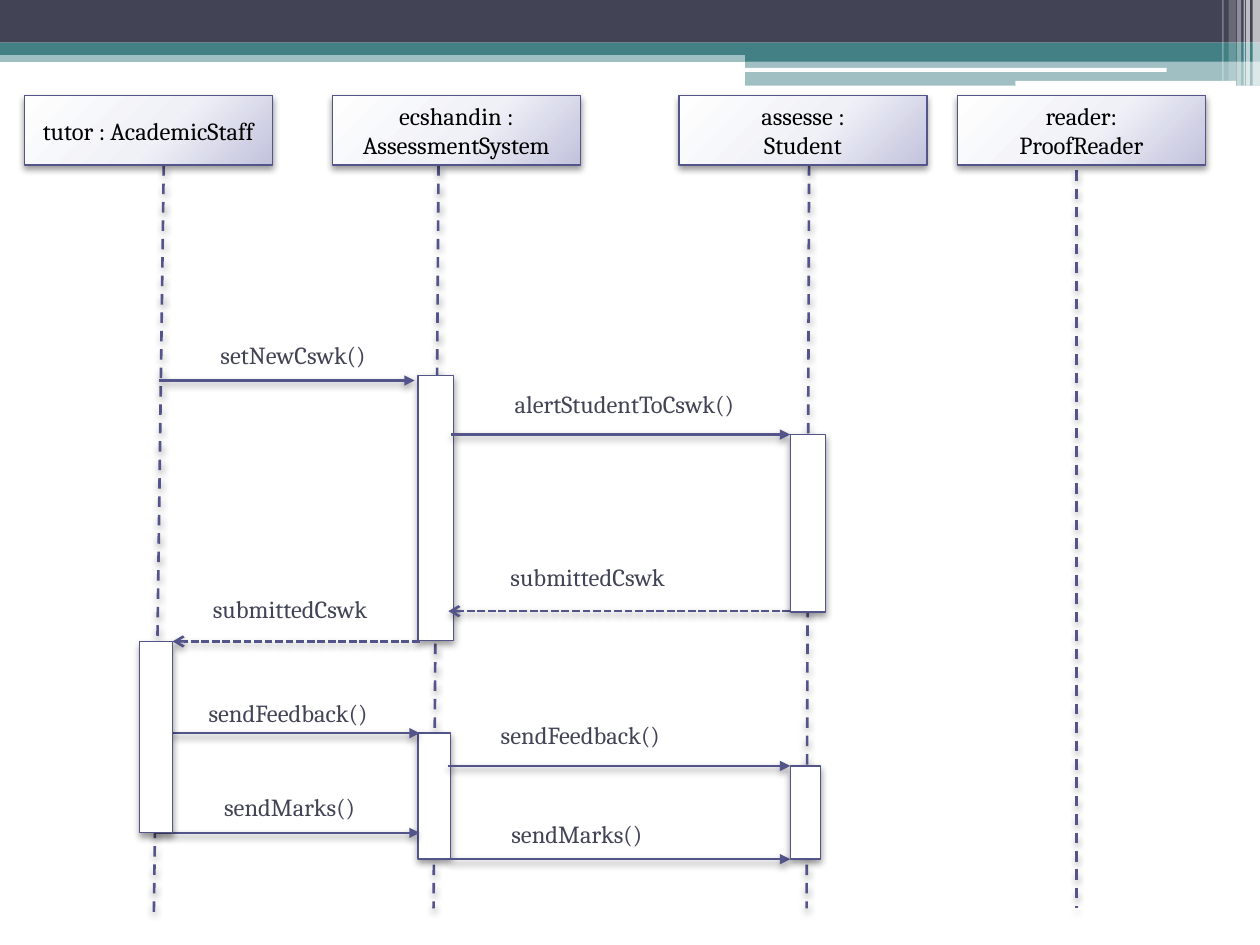
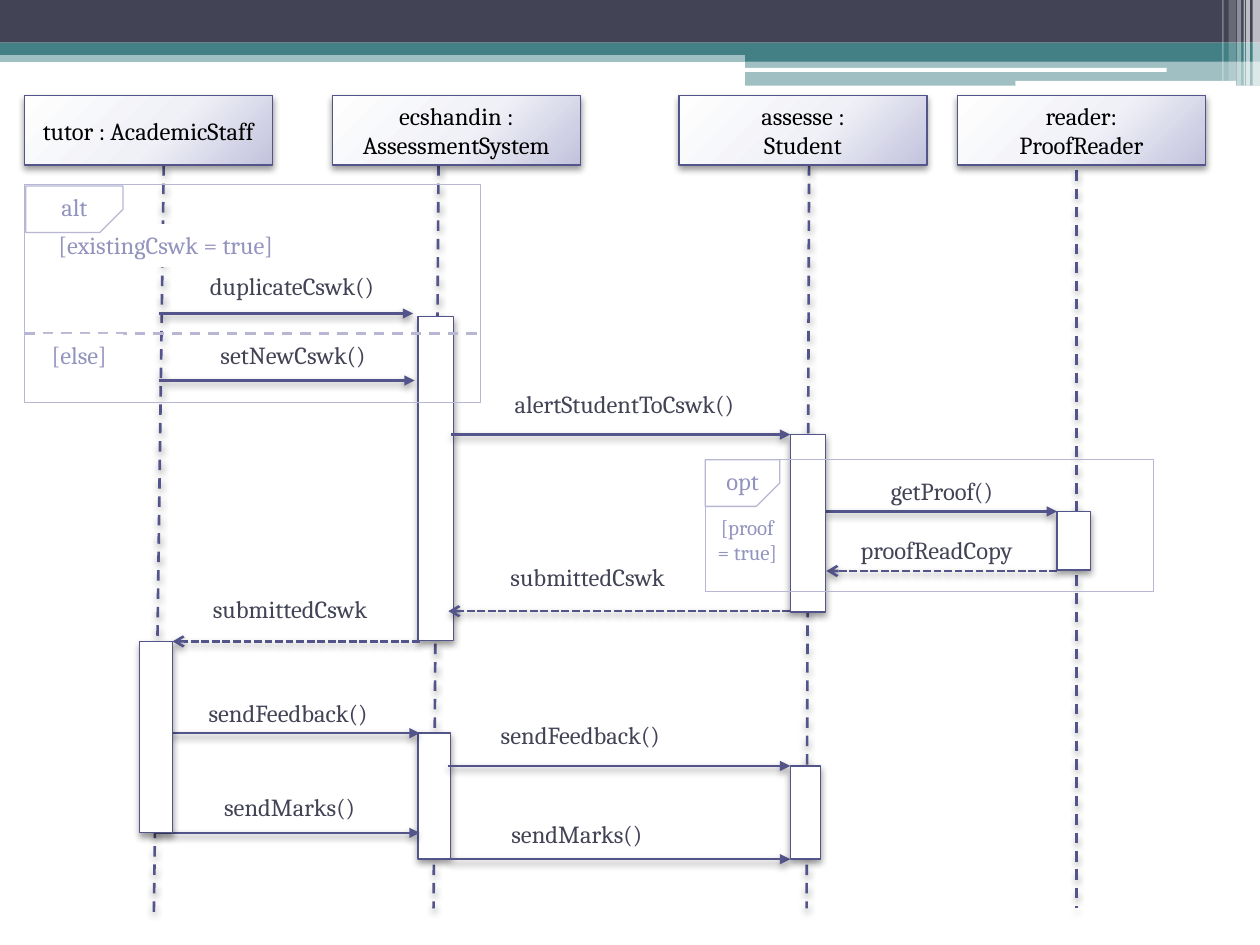
from dataclasses import dataclass

from lxml.etree import SubElement
from pptx import Presentation
from pptx.dml.color import RGBColor
from pptx.enum.dml import MSO_LINE
from pptx.enum.shapes import MSO_CONNECTOR, MSO_SHAPE
from pptx.enum.text import MSO_ANCHOR, PP_ALIGN
from pptx.oxml.ns import qn
from pptx.util import Cm, Pt

RECT, ROUND = MSO_SHAPE.RECTANGLE, MSO_SHAPE.ROUNDED_RECTANGLE
SNIP = MSO_SHAPE.SNIP_1_RECTANGLE
STRAIGHT = MSO_CONNECTOR.STRAIGHT
DASH, SHORT = MSO_LINE.DASH, MSO_LINE.SQUARE_DOT
TOP, MIDDLE = MSO_ANCHOR.TOP, MSO_ANCHOR.MIDDLE
CENTER = PP_ALIGN.CENTER


@dataclass(frozen=True)
class Theme:
    navy: str = "424456"
    teal: str = "438086"
    white: str = "FFFFFF"
    black: str = "000000"
    ink: str = "53548A"
    pale: str = "B7B7D4"
    guard: str = "9394BE"
    glow: tuple = ((0, "FEFEFE"), (55, "F0F1F7"), (100, "C2C2DD"))
    font: str = "Cambria"
    body: int = 14
    small: int = 12
    thin: float = 0.75
    thick: float = 1.5


THEME = Theme()

# Bands: left, top, width, height, colour, opacity, shape
BANDS = [
    (0, 1.02, 25.4, 0.23, THEME.teal, 50, RECT),
    (0, 0, 25.4, 0.86, THEME.navy, 100, RECT),
    (0, 0.86, 25.4, 0.25, THEME.teal, 100, RECT),
    (15.02, 0.99, 10.38, 0.25, THEME.teal, 100, RECT),
    (15.02, 1.23, 10.38, 0.5, THEME.teal, 50, RECT),
    (15.01, 1.37, 8.51, 0.08, THEME.white, 100, ROUND),
    (20.47, 1.63, 4.45, 0.1, THEME.white, 100, ROUND),
]
# Stripes: left, width, height, opacity
STRIPES = [
    (25.25, 0.15, 1.73, 65), (25.12, 0.08, 1.73, 65), (25.07, 0.03, 1.73, 60),
    (24.94, 0.08, 1.73, 40), (24.77, 0.15, 1.63, 20), (24.64, 0.03, 1.63, 30),
]

# Actors: name, box left, lifeline top x and y, lifeline end x and y
ACTORS = [
    ("assesse :\nStudent", 13.69, 16.31, 3.33, 16.26, 18.31),
    ("ecshandin : AssessmentSystem", 6.7, 8.84, 3.33, 8.74, 18.31),
    ("tutor : AcademicStaff", 0.49, 3.3, 3.33, 3.1, 18.52),
    ("reader:\nProofReader", 19.3, 21.7, 3.43, 21.7, 18.31),
]

# Messages: text, label centre, label top, from x, to x, y
MESSAGES = [
    ("setNewCswk()", 5.91, 6.73, 3.2, 8.36, 7.67),
    ("alertStudentToCswk()", 12.59, 7.72, 9.09, 15.93, 8.76),
    ("submittedCswk", 11.85, 11.2, 15.93, 9.04, 12.32),
    ("submittedCswk", 5.85, 11.86, 8.46, 3.48, 12.93),
    ("sendFeedback()", 5.81, 13.94, 3.1, 8.46, 14.78),
    ("sendFeedback()", 11.7, 14.4, 9.04, 15.93, 15.44),
    ("sendMarks()", 5.84, 15.85, 3.1, 8.46, 16.79),
    ("sendMarks()", 11.63, 16.38, 9.09, 15.93, 17.32),
]
COPY = [("duplicateCswk()", 5.89, 5.33, 3.2, 8.33, 6.32)]
PROOF = [
    ("getProof()", 18.99, 9.47, 16.66, 21.31, 10.31),
    ("proofReadCopy", 18.88, 10.67, 21.31, 16.66, 11.51),
]

# Activation bars: left, top, width, height
BARS = [
    (15.93, 8.76, 0.71, 3.58),
    (15.93, 15.44, 0.61, 1.88),
    (2.82, 12.93, 0.66, 3.86),
]
READER = (21.31, 10.31, 0.67, 1.18)


def rgb(code):
    return RGBColor.from_string(code)


def write(shape, text, size=THEME.body, color=THEME.navy, anchor=TOP):
    frame = shape.text_frame
    frame.word_wrap = True
    frame.vertical_anchor = anchor
    frame.text = text
    for para in frame.paragraphs:
        para.alignment = CENTER
        para.font.size = Pt(size)
        para.font.name = THEME.font
        para.font.color.rgb = rgb(color)


def effect(shape, shadow):
    """Set the effect list: a soft drop shadow, or none."""
    effects = SubElement(shape.element.spPr, qn("a:effectLst"))
    if shadow:
        drop = SubElement(effects, qn("a:outerShdw"), blurRad="52000",
                          dist="25400", dir="5400000", rotWithShape="0")
        tint = SubElement(drop, qn("a:srgbClr"), val=THEME.black)
        SubElement(tint, qn("a:alpha"), val="40000")


def blend(shape):
    """Turn a solid fill into the radial blend of the actor boxes."""
    props = shape.element.spPr
    solid = props.find(qn("a:solidFill"))
    grad = SubElement(props, qn("a:gradFill"), rotWithShape="1")
    stops = SubElement(grad, qn("a:gsLst"))
    for pos, code in THEME.glow:
        stop = SubElement(stops, qn("a:gs"), pos=str(pos * 1000))
        SubElement(stop, qn("a:srgbClr"), val=code)
    way = SubElement(grad, qn("a:path"), attrib={"path": "circle"})
    SubElement(way, qn("a:fillToRect"), l="-40000", t="-90000",
               r="140000", b="190000")
    props.replace(solid, grad)


class Board:
    def __init__(self):
        self.deck = Presentation()
        self.deck.slide_width, self.deck.slide_height = Cm(25.4), Cm(19.05)
        self.shapes = None

    def start(self):
        slide = self.deck.slides.add_slide(self.deck.slide_layouts[6])
        self.shapes = slide.shapes
        for *box, color, alpha, kind in BANDS:
            self.block(*box, fill=color, alpha=alpha, kind=kind)
        for x, w, h, alpha in STRIPES:
            self.block(x, 0, w, h, alpha=alpha)

    def block(self, x, y, w, h, fill=THEME.white, line=None, alpha=100,
              kind=RECT, shadow=False):
        shape = self.shapes.add_shape(kind, Cm(x), Cm(y), Cm(w), Cm(h))
        if fill:
            shape.fill.solid()
            shape.fill.fore_color.rgb = rgb(fill)
        else:
            shape.fill.background()
        if alpha < 100:
            tint = shape.element.spPr.find(".//" + qn("a:srgbClr"))
            SubElement(tint, qn("a:alpha"), val=str(alpha * 1000))
        if line:
            shape.line.color.rgb = rgb(line)
            shape.line.width = Pt(THEME.thin)
        else:
            shape.line.fill.background()
        effect(shape, shadow)
        return shape

    def line(self, x1, y1, x2, y2, color=THEME.ink, dash=None, tip=None,
             shadow=True):
        link = self.shapes.add_connector(STRAIGHT, Cm(x1), Cm(y1), Cm(x2), Cm(y2))
        link.line.color.rgb = rgb(color)
        link.line.width = Pt(THEME.thick)
        if dash:
            link.line.dash_style = dash
        if tip:
            stroke = link.element.spPr.find(qn("a:ln"))
            SubElement(stroke, qn("a:tailEnd"), type=tip)
        effect(link, shadow)

    def label(self, text, x, y, w, **style):
        box = self.shapes.add_textbox(Cm(x), Cm(y), Cm(w), Cm(0.86))
        write(box, text, **style)

    def actor(self, name, left, x1, y1, x2, y2):
        self.line(x1, y1, x2, y2, dash=DASH)
        box = self.block(left, 1.93, 5, 1.4, line=THEME.ink, shadow=True)
        blend(box)
        write(box, name, color=THEME.black, anchor=MIDDLE)

    def bar(self, x, y, w, h):
        self.block(x, y, w, h, line=THEME.ink, shadow=True)

    def message(self, text, mid, top, x1, x2, y):
        """A call runs to the right; a reply runs back, dashed."""
        reply = x2 < x1
        self.line(x1, y, x2, y, dash=SHORT if reply else None,
                  tip="arrow" if reply else "triangle")
        self.label(text, mid - 2.73, top, 5.46)

    def guard(self, text, x, y, w, h=0.86, size=THEME.body):
        write(self.block(x, y, w, h), text, size=size, color=THEME.guard)

    def outline(self, x, y, w, h):
        self.block(x, y, w, h, fill=None, line=THEME.pale)

    def tab(self, text, x, y, w):
        shape = self.block(x, y, w, 0.94, line=THEME.pale, kind=SNIP)
        shape.adjustments[0] = 0.5
        shape.element.spPr.find(qn("a:xfrm")).set("flipV", "1")
        self.label(text, x, y, w, color=THEME.guard)

    def diagram(self, top, calls, bars):
        """Draw the sequence; top is where the first system bar starts."""
        for row in ACTORS:
            self.actor(*row)
        self.bar(8.43, top, 0.71, 12.91 - top)
        self.bar(8.43, 14.78, 0.66, 2.54)
        for call in calls:
            self.message(*call)
        for box in bars:
            self.bar(*box)


def main():
    board = Board()

    # Basic sequence
    board.start()
    board.diagram(7.57, MESSAGES, BARS)

    # Sequence with alternative and optional fragments
    board.start()
    board.guard("[proof\n= true]", 14.1, 10.24, 1.93, h=1.27, size=THEME.small)
    board.diagram(6.38, MESSAGES + COPY + PROOF, BARS + [READER])

    # Alternative fragment
    board.outline(0.49, 3.72, 9.2, 4.4)
    board.line(0.49, 6.72, 9.69, 6.72, color=THEME.pale, dash=DASH, shadow=False)
    board.guard("[else]", 0.71, 6.73, 1.78)
    board.guard("[existingCswk = true]", 0.74, 4.52, 5.21)
    board.tab("alt", 0.52, 3.75, 1.96)

    # Optional fragment
    board.outline(14.22, 9.27, 9.04, 2.65)
    board.tab("opt", 14.22, 9.27, 1.5)

    board.deck.save("out.pptx")


if __name__ == "__main__":
    main()
